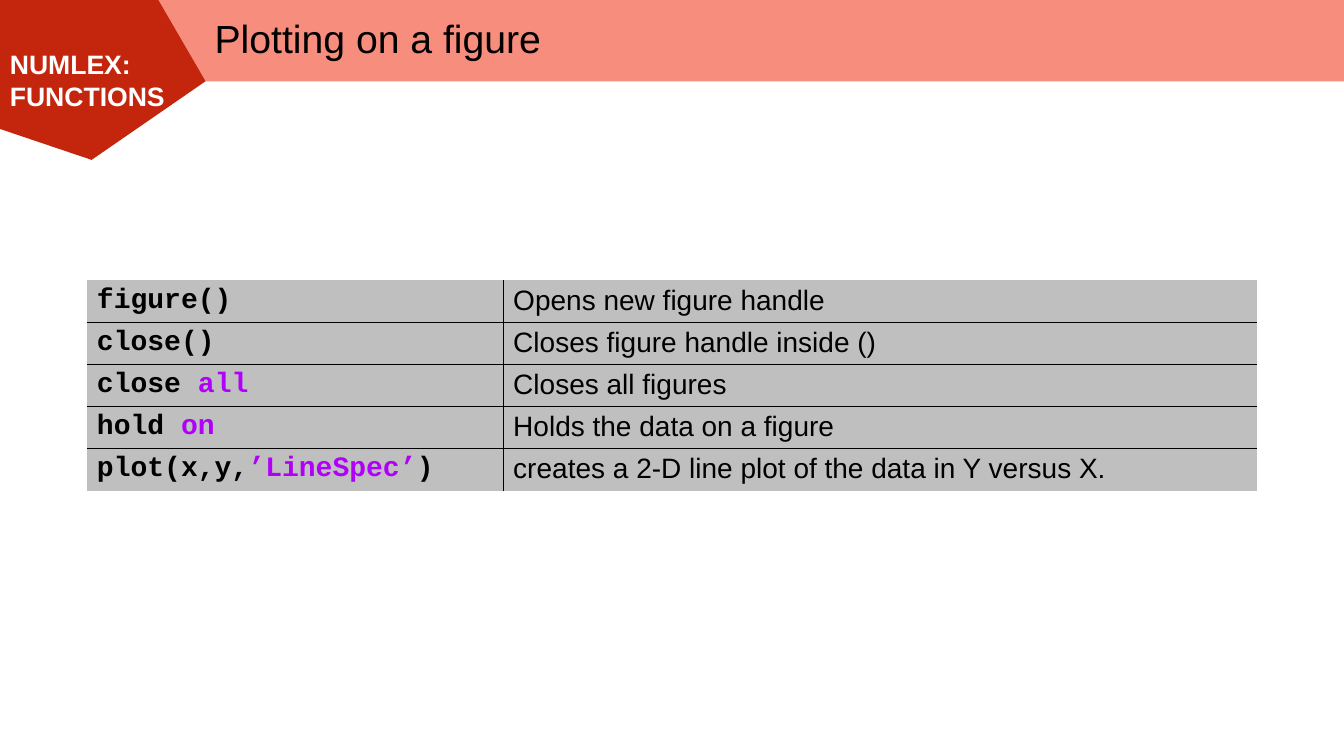
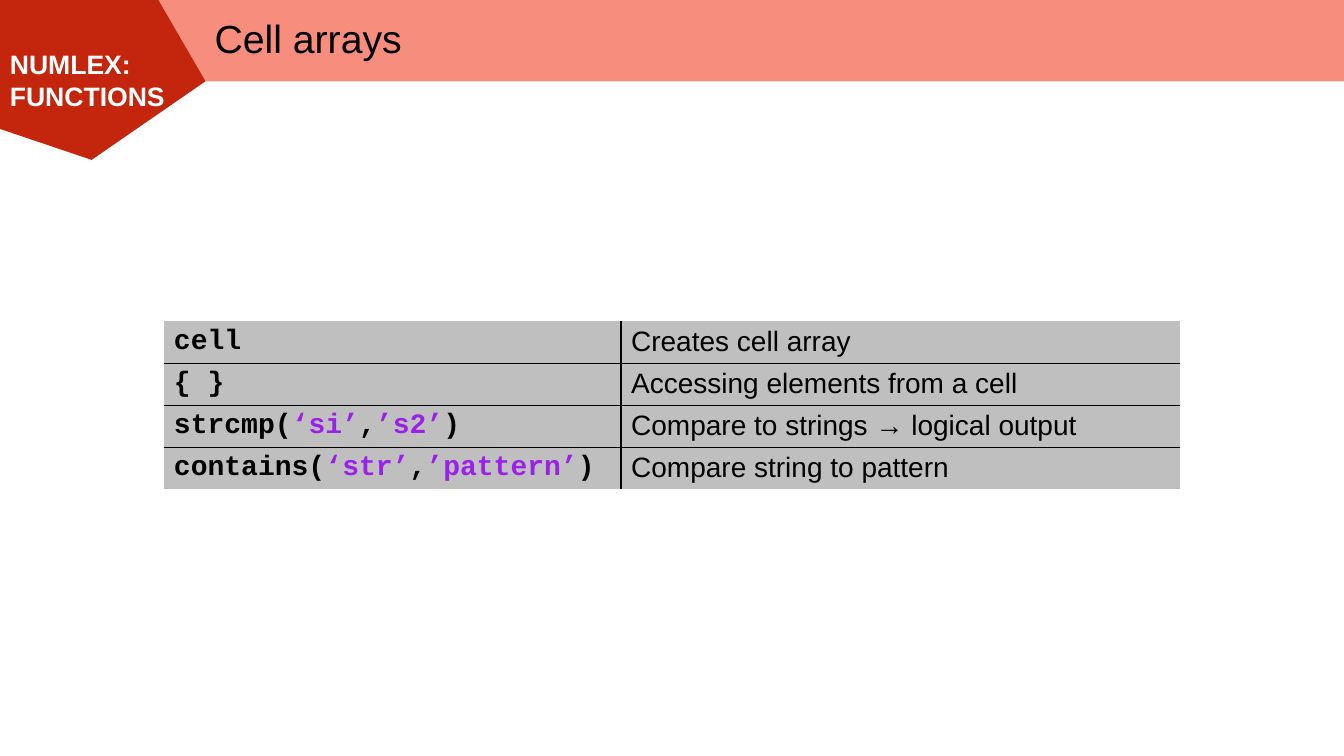
from dataclasses import dataclass
from typing import Any

from lxml.etree import SubElement
from pptx import Presentation
from pptx.dml.color import RGBColor
from pptx.enum.shapes import MSO_SHAPE
from pptx.enum.text import MSO_ANCHOR, PP_ALIGN
from pptx.oxml.ns import qn
from pptx.util import Cm, Pt


@dataclass(frozen=True)
class Theme:
    rose: str = "F78D7C"
    brick: str = "C3260C"
    gray: str = "BFBFBF"
    black: str = "000000"
    white: str = "FFFFFF"
    grape: str = "B000FA"
    purple: str = "9B20E8"
    sans: str = "Arial"
    mono: str = "Courier New"
    title: int = 28
    badge: int = 19
    body: int = 20
    rule: int = 1


@dataclass(frozen=True)
class Row:
    code: str
    note: str


@dataclass(frozen=True)
class Page:
    title: str
    left: float
    top: float
    cols: tuple[float, float]
    accent: str
    rows: tuple[Row, ...]


THEME = Theme()
WIDTH, HEIGHT = 33.87, 19.05
BAND = 2.05
ROW = 1.06
BADGE = ((3.99, 0), (0, 0), (0, 3.25), (2.31, 4.03), (5.18, BAND))

PAGES = (
    Page("Plotting on a figure", 2.19, 7.06, (10.49, 19), THEME.grape, (
        Row("figure()", "Opens new figure handle"),
        Row("close()", "Closes figure handle inside ()"),
        Row("close |all", "Closes all figures"),
        Row("hold |on", "Holds the data on a figure"),
        Row("plot(x,y,|’LineSpec’|)",
            "creates a 2-D line plot of the data in Y versus X."),
    )),
    Page("Cell arrays", 4.13, 8.09, (11.52, 14.08), THEME.purple, (
        Row("cell", "Creates cell array"),
        Row("{ }", "Accessing elements from a cell"),
        Row("strcmp(|‘si’|,|’s2’|)", "Compare to strings → logical output"),
        Row("contains(|‘str’|,|’pattern’|)", "Compare string to pattern"),
    )),
)


def put(item: Any, values: dict[str, Any]) -> None:
    for name, value in values.items():
        setattr(item, name, value)


def paint(fill: Any, color: str) -> None:
    fill.solid()
    fill.fore_color.rgb = RGBColor.from_string(color)


def write(para: Any, text: str, size: int, color: str,
          face: str = THEME.sans, bold: bool = False) -> None:
    run = para.add_run()
    run.text = text
    put(run.font, {"name": face, "size": Pt(size), "bold": bold})
    run.font.color.rgb = RGBColor.from_string(color)


def finish(shape: Any, color: str) -> None:
    shape.shadow.inherit = False
    shape.line.fill.background()
    paint(shape.fill, color)


def start_text(shape: Any) -> Any:
    frame = shape.text_frame
    put(frame, {"word_wrap": True, "vertical_anchor": MSO_ANCHOR.MIDDLE})
    para = frame.paragraphs[0]
    para.alignment = PP_ALIGN.LEFT
    return para


def add_head(slide: Any, title: str) -> None:
    start = 2.33
    band = slide.shapes.add_shape(
        MSO_SHAPE.RECTANGLE, Cm(start), 0, Cm(WIDTH - start), Cm(BAND))
    finish(band, THEME.rose)

    first, *rest = [(Cm(x), Cm(y)) for x, y in BADGE]
    maker = slide.shapes.build_freeform(*first)
    maker.add_line_segments(rest, close=True)
    badge = maker.convert_to_shape()
    finish(badge, THEME.brick)
    write(start_text(badge), "NUMLEX: FUNCTIONS", THEME.badge,
          THEME.white, bold=True)

    left = 5.16
    box = slide.shapes.add_textbox(
        Cm(left), Cm(0.23), Cm(WIDTH - left), Cm(1.58))
    para = start_text(box)
    put(para, {"line_spacing": 0.9, "space_before": Pt(10)})
    write(para, title, THEME.title, THEME.black)


def add_edge(cell: Any, side: str, shown: bool) -> None:
    props = cell._tc.get_or_add_tcPr()
    line = SubElement(props, qn(f"a:ln{side}"), w=str(Pt(THEME.rule)))
    if shown:
        fill = SubElement(line, qn("a:solidFill"))
        SubElement(fill, qn("a:srgbClr"), val=THEME.black)
    else:
        SubElement(line, qn("a:noFill"))


def add_grid(slide: Any, page: Page) -> None:
    count = len(page.rows)
    grid = slide.shapes.add_table(
        count, 2, Cm(page.left), Cm(page.top),
        Cm(sum(page.cols)), Cm(ROW * count)).table
    put(grid, {"first_row": False, "horz_banding": False})
    for col, width in zip(grid.columns, page.cols):
        col.width = Cm(width)
    for y, row in enumerate(page.rows):
        grid.rows[y].height = Cm(ROW)
        for x in range(2):
            cell = grid.cell(y, x)
            cell.margin_bottom = Cm(0.07)
            edges = {"L": x > 0, "R": x < 1, "T": y > 0, "B": y < count - 1}
            for side, shown in edges.items():
                add_edge(cell, side, shown)
            paint(cell.fill, THEME.gray)
        code, note = (grid.cell(y, x).text_frame.paragraphs[0]
                      for x in range(2))
        for place, part in enumerate(row.code.split("|")):
            color = page.accent if place % 2 else THEME.black
            write(code, part, THEME.body, color, THEME.mono, True)
        write(note, row.note, THEME.body, THEME.black)


def main() -> None:
    deck = Presentation()
    put(deck, {"slide_width": Cm(WIDTH), "slide_height": Cm(HEIGHT)})
    for page in PAGES:
        slide = deck.slides.add_slide(deck.slide_layouts[6])
        add_head(slide, page.title)
        add_grid(slide, page)
    deck.save("out.pptx")


if __name__ == "__main__":
    main()
